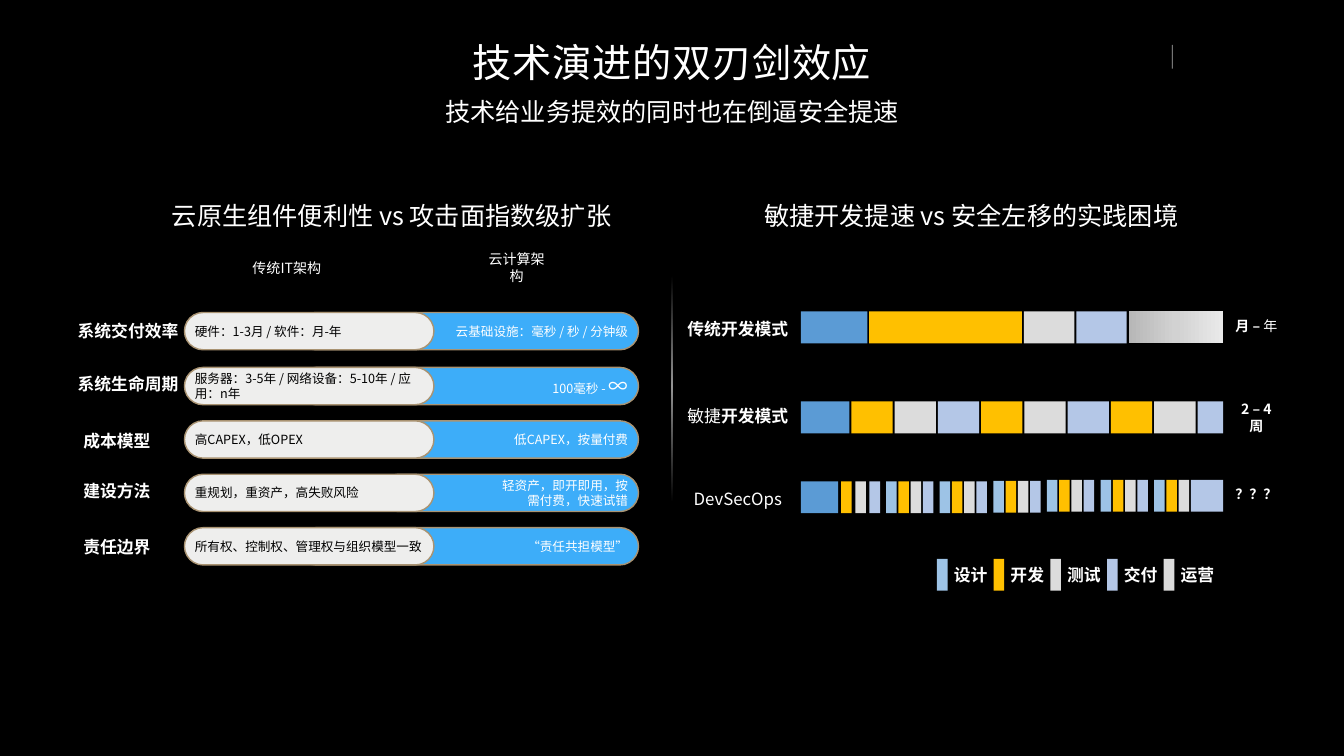
from lxml.etree import SubElement
from pptx import Presentation
from pptx.dml.color import RGBColor
from pptx.enum.shapes import MSO_CONNECTOR as Connector, MSO_SHAPE as Shape
from pptx.enum.text import MSO_ANCHOR as Anchor, PP_ALIGN as Align
from pptx.oxml.ns import qn
from pptx.util import Pt

BLACK = RGBColor(0, 0, 0)
WHITE = RGBColor(255, 255, 255)
BLUE = RGBColor(0x5B, 0x9B, 0xD5)
SKY = RGBColor(0x9D, 0xC3, 0xE6)
GOLD = RGBColor(0xFF, 0xC0, 0x00)
GREY = RGBColor(0xDC, 0xDC, 0xDC)
LAVENDER = RGBColor(0xB4, 0xC7, 0xE7)
SILVER = RGBColor(0xDB, 0xDB, 0xDB)
CLOUD_FILL = RGBColor(0x3D, 0xAD, 0xF9)
LEGACY_FILL = RGBColor(0xEE, 0xEE, 0xED)
PILL_LINE = RGBColor(0xA9, 0x93, 0x72)
OPERATION = [(0, "B7B7B7", 100), (50, "D2D2D2", 100), (100, "E9E9E9", 100)]
DIVIDER = [(0, "999999", 1), (51, "999999", 100), (100, "999999", 0)]
FONT = "Noto Sans CJK SC"

HEADINGS = [
    ("技术给业务提效的同时也在倒逼安全提速", 360, 117.4, 1200),
    ("云原生组件便利性 vs 攻击面指数级扩张", 199.4, 266.4, 720),
    ("敏捷开发提速 vs 安全左移的实践困境", 1027.4, 266.4, 720),
]
COLUMNS = [("传统IT架构", 409.7), ("云计算架构", 738)]
COMPARISON = [
    ("系统交付效率", 182.9, 473, 446.4, "硬件：1-3月 / 软件：月-年",
     [("云基础设施：毫秒 / 秒 / 分钟级", 18)]),
    ("系统生命周期", 182.9, 548, 524.9, "服务器：3-5年 / 网络设备：5-10年 / 应用：n年",
     [("100毫秒 - ", 18), ("∞", 28)]),
    ("成本模型", 167, 630, 601.2, "高CAPEX，低OPEX", [("低CAPEX，按量付费", 18)]),
    ("建设方法", 167, 700.6, 677.5, "重规划，重资产，高失败风险",
     [("轻资产，即开即用，按需付费，快速试错", 18)]),
    ("责任边界", 167, 780.5, 753.8, "所有权、控制权、管理权与组织模型一致",
     [("“责任共担模型”", 18)]),
]
NARROW_ROW = "建设方法"
MODES = [
    ([("传统开发模式", True)], 470, [("月 – ", True), ("年", False)], 465.5, 80),
    ([("敏捷", False), ("开发模式", True)], 594, [("2 – 4周", True)], 596.5, 68),
    ([("DevSecOps", False)], 712.8, [("？？？", True)], 705.2, 80),
]
WATERFALL = [(95, BLUE), (218.2, GOLD), (72, GREY), (72, LAVENDER), (134.6, OPERATION)]
AGILE = [(69.5, BLUE)] + [
    (59, colour) for colour in (GOLD, GREY, LAVENDER, GOLD, GREY, LAVENDER, GOLD, GREY)
] + [(36.7, LAVENDER)]
SPRINT = [SKY, GOLD, GREY, LAVENDER]
SPRINT_TOPS = [687.6, 687.6, 686.9, 685.4, 685.4, 685.4]
LEGEND = [("设计", SKY), ("开发", GOLD), ("测试", GREY), ("交付", LAVENDER), ("运营", SILVER)]

BAR_LEFT, BAR_GAP, BAR_HEIGHT, TICK = 1144, 2.8, 45.4, 15.1
PILL_HEIGHT = 53.3

presentation = Presentation()
presentation.slide_width, presentation.slide_height = Pt(1920), Pt(1080)
slide = presentation.slides.add_slide(presentation.slide_layouts[6])
slide.background.fill.solid()
slide.background.fill.fore_color.rgb = BLACK


def write(shape, runs, size, align=Align.CENTER, colour=WHITE, font=FONT, wrap=True, inset=5.8):
    frame = shape.text_frame
    frame.word_wrap = wrap
    frame.vertical_anchor = Anchor.MIDDLE
    frame.margin_left = frame.margin_right = Pt(inset)
    frame.margin_top = frame.margin_bottom = Pt(min(inset, 3.6))
    paragraph = frame.paragraphs[0]
    paragraph.alignment = align
    for text, options in runs:
        run = paragraph.add_run()
        run.text = text
        run.font.size = Pt(options.get("size", size))
        run.font.bold = options.get("bold", False)
        run.font.color.rgb = colour
        run.font.name = font
        SubElement(run.font._element, qn("a:ea"), typeface=font)
    return frame


def add_text(left, top, width, height, runs, size, **style):
    box = slide.shapes.add_textbox(Pt(left), Pt(top), Pt(width), Pt(height))
    return write(box, runs, size, **style)


def add_label(centre, middle, width, runs, size, wrap=False):
    add_text(centre - width / 2, middle - 20, width, 40, runs, size, wrap=wrap)


def fill_gradient(shape, stops, angle):
    shape.fill.gradient()
    gradient = shape._element.spPr.find(qn("a:gradFill"))
    for child in list(gradient):
        gradient.remove(child)
    stop_list = SubElement(gradient, qn("a:gsLst"))
    for position, colour, alpha in stops:
        stop = SubElement(stop_list, qn("a:gs"), pos=str(position * 1000))
        tint = SubElement(stop, qn("a:srgbClr"), val=colour)
        SubElement(tint, qn("a:alpha"), val=str(alpha * 1000))
    SubElement(gradient, qn("a:lin"), ang=str(angle * 60000), scaled="0")


def add_block(left, top, width, height, fill, kind=Shape.RECTANGLE, angle=0):
    shape = slide.shapes.add_shape(kind, Pt(left), Pt(top), Pt(width), Pt(height))
    shape.shadow.inherit = False
    shape.line.fill.background()
    if isinstance(fill, list):
        fill_gradient(shape, fill, angle)
    else:
        shape.fill.solid()
        shape.fill.fore_color.rgb = fill
    return shape


def add_pill(left, top, width, fill):
    pill = add_block(left, top, width, PILL_HEIGHT, fill, Shape.ROUNDED_RECTANGLE)
    pill.adjustments[0] = 0.5
    pill.line.color.rgb = PILL_LINE
    pill.line.width = Pt(2)
    return pill


def add_bars(top, bars):
    left = BAR_LEFT
    for width, fill in bars:
        add_block(left, top, width, BAR_HEIGHT, fill)
        left += width + BAR_GAP


mark = slide.shapes.add_connector(Connector.STRAIGHT, Pt(1674.7), Pt(97.9), Pt(1674.7), Pt(64.1))
mark.line.color.rgb = WHITE
mark.line.width = Pt(1)
SubElement(mark._element.spPr.find(".//" + qn("a:srgbClr")), qn("a:alpha"), val="70000")
SubElement(mark._element.spPr, qn("a:effectLst"))

title = add_text(360, 51.8, 1200, 72.7, [("技术演进的双刃剑效应", {})], 56, font="Calibri", inset=2.2)
title.paragraphs[0].runs[0].font._element.set("spc", "110")
for text, left, top, width in HEADINGS:
    add_text(left, top, width, 83.5, [(text, {})], 36, inset=7.2)

divider = add_block(959, 394.6, 2.2, 321, DIVIDER, angle=90)
divider.rotation = 180

for text, centre in COLUMNS:
    add_label(centre, 382, 110, [(text, {})], 20, wrap=True)
for label, centre, middle, top, legacy, cloud in COMPARISON:
    narrow = label == NARROW_ROW
    left = 542.9 if narrow else 424.8
    cloud_pill = add_pill(left, top, 912.2 - left, CLOUD_FILL)
    frame = write(cloud_pill, [(text, {"size": size}) for text, size in cloud], 18, Align.RIGHT, inset=7.2)
    if narrow:
        frame.margin_left = Pt(157)
    write(add_pill(263.5, top, 356.4, LEGACY_FILL), [(legacy, {})], 18, Align.LEFT, BLACK, inset=7.2)
    add_label(centre, middle, 157, [(label, {"bold": True})], 24)

add_bars(445, WATERFALL)
add_bars(573.6, AGILE)
add_block(BAR_LEFT, 687.6, 53.3, BAR_HEIGHT, BLUE)
for index, colour in enumerate(SPRINT[1:]):
    add_block(1201.7 + index * 20.2, 687.6, TICK, BAR_HEIGHT, colour)
for sprint, top in enumerate(SPRINT_TOPS):
    for index, colour in enumerate(SPRINT):
        last = sprint == len(SPRINT_TOPS) - 1 and index == len(SPRINT) - 1
        add_block(1265.8 + sprint * 76.6 + index * 17.5, top, 46 if last else TICK, BAR_HEIGHT, colour)

for name, name_middle, period, period_middle, width in MODES:
    add_label(1054, name_middle, 157, [(text, {"bold": bold}) for text, bold in name], 24)
    add_label(1795, period_middle, width, [(text, {"bold": bold}) for text, bold in period], 20, wrap=width < 80)

for index, (text, colour) in enumerate(LEGEND):
    add_block(1338.5 + index * 81, 798.5, TICK, BAR_HEIGHT, colour)
    add_label(1386.5 + index * 81, 820.8, 60, [(text, {"bold": True})], 24)

presentation.save("out.pptx")
